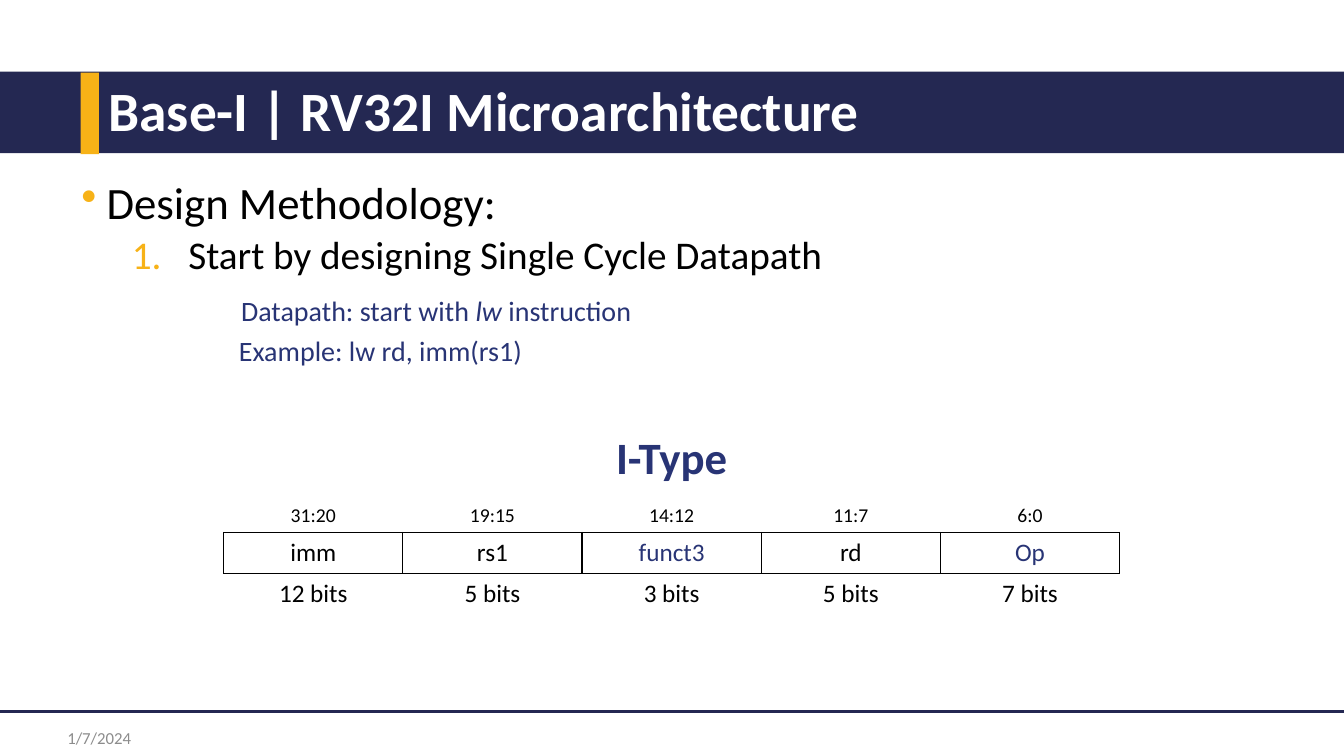
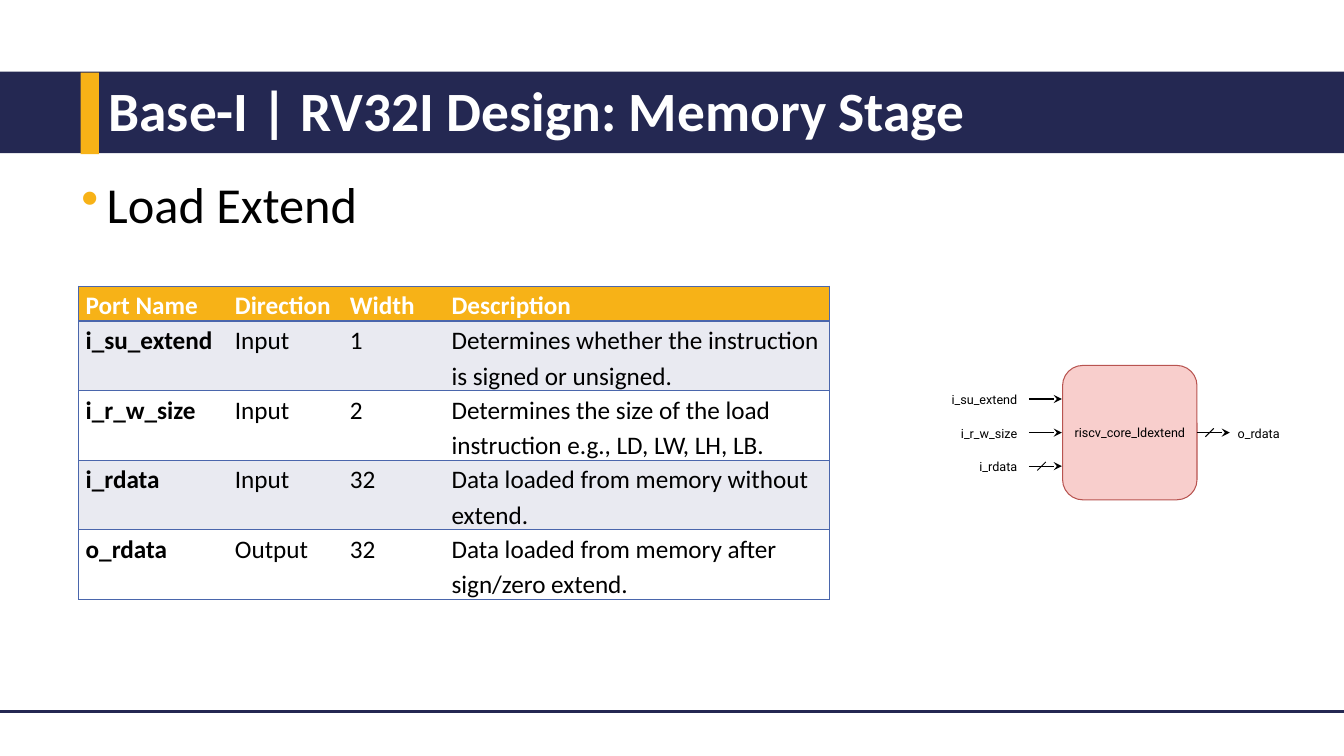
"""Build two slides on RV32I design: the load format and the load extend block."""
from dataclasses import dataclass

from lxml.etree import SubElement
from pptx import Presentation
from pptx.dml.color import RGBColor as Color
from pptx.enum.shapes import MSO_CONNECTOR as Link, MSO_SHAPE as Form
from pptx.enum.text import MSO_ANCHOR as Anchor, PP_ALIGN as Align
from pptx.oxml.ns import qn
from pptx.util import Pt


@dataclass(frozen=True)
class Theme:
    navy: str = "242852"
    gold: str = "F7B217"
    blue: str = "283475"
    edge: str = "4A66AC"
    tint: str = "E9EAF1"
    pink: str = "F8CECC"
    red: str = "B85450"
    gray: str = "8C8C8C"
    black: str = "000000"
    white: str = "FFFFFF"
    font: str = "Calibri"
    code: str = "Roboto"
    title: float = 39.6
    head: float = 36
    lead: float = 32
    step: float = 28
    note: float = 20
    cell: float = 18
    bits: float = 14
    date: float = 12
    port: float = 9


class Deck:
    def __init__(self, theme):
        self.theme = theme
        self.show = Presentation()
        self.show.slide_width, self.show.slide_height = Pt(960), Pt(540)
        self.slide = None

    def page(self, title):
        t = self.theme
        self.slide = self.show.slides.add_slide(self.show.slide_layouts[6])
        self.block(0, 51.1, 960, 58.3, t.navy)
        self.label(title, 70.5, 57.6, 756, 46.8, t.title, t.white, bold=True)
        self.block(57.6, 51.8, 13, 58.3, t.gold)
        self.line(0, 508.3, 960, 508.3, t.navy, 2.25)

    def block(self, x, y, wide, high, fill, edge=None, form=Form.RECTANGLE):
        shape = self.slide.shapes.add_shape(form, Pt(x), Pt(y), Pt(wide), Pt(high))
        shape.shadow.inherit = False
        shape.fill.solid()
        shape.fill.fore_color.rgb = Color.from_string(fill)
        if edge:
            shape.line.color.rgb = Color.from_string(edge)
            shape.line.width = Pt(0.75)
        else:
            shape.line.fill.background()
        return shape

    def line(self, x1, y1, x2, y2, color, width=0.75, arrow=False):
        link = self.slide.shapes.add_connector(
            Link.STRAIGHT, Pt(x1), Pt(y1), Pt(x2), Pt(y2))
        link.line.color.rgb = Color.from_string(color)
        link.line.width = Pt(width)
        props = link.line.fill and link._element.spPr
        if arrow:
            SubElement(props.find(qn("a:ln")), qn("a:tailEnd"), type="stealth")
        SubElement(props, qn("a:effectLst"))

    def style(self, para, size, color, font=None, bold=False):
        for run in para.runs:
            run.font.name = font or self.theme.font
            run.font.size = Pt(size)
            run.font.bold = bold
            run.font.color.rgb = Color.from_string(color)

    def frame(self, x, y, wide, high, anchor=Anchor.MIDDLE):
        box = self.slide.shapes.add_textbox(Pt(x), Pt(y), Pt(wide), Pt(high))
        box.text_frame.word_wrap = True
        box.text_frame.vertical_anchor = anchor
        return box.text_frame

    def label(self, text, x, y, wide, high, size, color, font=None,
              bold=False, align=Align.LEFT):
        frame = self.frame(x, y, wide, high)
        frame.text = text
        para = frame.paragraphs[0]
        para.alignment = align
        para.line_spacing = 0.9 if bold else 1.0
        self.style(para, size, color, font, bold)

    def body(self, *points):
        frame = self.frame(51.1, 125.3, 822, 351, Anchor.TOP)
        for i, point in enumerate(points):
            para = frame.add_paragraph() if i else frame.paragraphs[0]
            self.point(para, *point)

    def point(self, para, text, size, color, left, hang=0, before=0, mark=None):
        props = para._p.get_or_add_pPr()
        props.set("marL", str(Pt(left)))
        props.set("indent", str(-Pt(hang)))
        if mark:
            tint = SubElement(props, qn("a:buClr"))
            SubElement(tint, qn("a:srgbClr"), val=self.theme.gold)
            kind, key, value = mark
            SubElement(props, qn(kind)).set(key, value)
        para.line_spacing = 0.9
        if before:
            para.space_before = Pt(before)
        for i, part in enumerate(text.split("*")):
            run = para.add_run()
            run.text = part
            run.font.italic = i % 2 == 1
        self.style(para, size, color)

    def table(self, x, y, cols, rows):
        grid = self.slide.shapes.add_table(
            len(rows), len(cols), Pt(x), Pt(y), Pt(sum(cols)), Pt(sum(rows))).table
        grid.first_row = grid.horz_banding = False
        for col, wide in zip(grid.columns, cols):
            col.width = Pt(wide)
        for row, high in zip(grid.rows, rows):
            row.height = Pt(high)
        return grid

    def cell(self, cell, text, size, color, bold=False, align=Align.LEFT,
             space=1.0, sides="", edge=None, fill=None):
        cell.text = text
        para = cell.text_frame.paragraphs[0]
        para.alignment = align
        para.line_spacing = space
        self.style(para, size, color, bold=bold)
        props = cell._tc.get_or_add_tcPr()
        for side in "LRTB":
            rule = SubElement(props, qn("a:ln" + side), w=str(Pt(1)))
            if side in sides:
                ink = SubElement(rule, qn("a:solidFill"))
                SubElement(ink, qn("a:srgbClr"), val=edge)
            else:
                SubElement(rule, qn("a:noFill"))
        if fill:
            cell.fill.solid()
            cell.fill.fore_color.rgb = Color.from_string(fill)
        else:
            cell.fill.background()

    def fields(self, name, items):
        t = self.theme
        grid = self.table(159.8, 304.6, [128] * len(items), [46.3] + [29.5] * 3)
        grid.cell(0, 0).merge(grid.cell(0, len(items) - 1))
        self.cell(grid.cell(0, 0), name, t.lead, t.blue, True, Align.CENTER)
        looks = ((t.bits, "B"), (t.cell, "LRTB"), (t.cell, "T"))
        for c, item in enumerate(items):
            for r, (text, (size, sides)) in enumerate(zip(item, looks), 1):
                color = t.blue if text in ("funct3", "Op") else t.black
                self.cell(grid.cell(r, c), text, size, color,
                          align=Align.CENTER, sides=sides, edge=t.black)
            grid.cell(1, c).vertical_anchor = Anchor.BOTTOM

    def ports(self, rows):
        t = self.theme
        cols = [106.6, 82.1, 72.7, 275]
        grid = self.table(56.2, 204.5, cols, [24.6] + [49.4] * (len(rows) - 1))
        last = len(cols) - 1
        for r, row in enumerate(rows):
            fill = t.gold if r == 0 else t.tint if r % 2 else t.white
            for c, text in enumerate(row):
                cell = grid.cell(r, c)
                cell.margin_left = cell.margin_right = Pt(5)
                cell.margin_top = cell.margin_bottom = 0
                sides = "TB" + ("L" if c == 0 else "R" if c == last else "")
                self.cell(cell, text, t.cell, t.black if r else t.white,
                          r == 0 or c == 0, space=1.15, sides=sides,
                          edge=t.edge, fill=fill)

    def wire(self, x, y, bus):
        black = self.theme.black
        self.line(x, y, x + 23.5, y, black, arrow=True)
        if bus:
            self.line(x + 6, y + 3, x + 12, y - 3, black)

    def core(self, name, inputs, output):
        t = self.theme
        left, mid, side, gap = 759, 309, 96, 24
        box = self.block(left, mid - side / 2, side, side, t.pink, t.red,
                         Form.ROUNDED_RECTANGLE)
        box.adjustments[0] = 0.15
        frame = box.text_frame
        frame.text = name
        frame.word_wrap = False
        frame.margin_left = frame.margin_right = 0
        frame.vertical_anchor = Anchor.MIDDLE
        frame.paragraphs[0].alignment = Align.CENTER
        self.style(frame.paragraphs[0], t.port, t.black, t.code)
        for i, (port, bus) in enumerate(inputs):
            y = mid + gap * (i - 1)
            self.wire(left - 24, y, bus)
            self.label(port, 660, y - 13, 73.7, 27, t.port, t.black, t.code,
                       align=Align.RIGHT)
        self.wire(left + side, mid, True)
        self.label(output, 877, mid - 13, 60, 27, t.port, t.black, t.code)


def main():
    t = Theme()
    deck = Deck(t)
    dot = ("a:buChar", "char", "•")
    count = ("a:buAutoNum", "type", "arabicPeriod")

    deck.page("Base-I | RV32I Microarchitecture")
    deck.label("1/7/2024", 41, 514.8, 203.8, 23.8, t.date, t.gray)
    deck.body(
        ("Design Methodology:", t.lead, t.black, 18, 18, 0, dot),
        ("Start by designing Single Cycle Datapath", t.step, t.black,
         76.3, 40.3, 5, count),
        ("Datapath: start with *lw* instruction", t.note, t.blue, 114, 0, 13.5),
        ("Example: lw rd, imm(rs1)", t.note, t.blue, 112.5, 0, 7))
    deck.fields("I-Type", [
        ("31:20", "imm", "12 bits"),
        ("19:15", "rs1", "5 bits"),
        ("14:12", "funct3", "3 bits"),
        ("11:7", "rd", "5 bits"),
        ("6:0", "Op", "7 bits")])

    deck.page("Base-I | RV32I Design: Memory Stage")
    deck.body(("Load Extend", t.head, t.black, 18, 18, 0, dot))
    deck.core("riscv_core_ldextend",
              [("i_su_extend", False), ("i_r_w_size", False), ("i_rdata", True)],
              "o_rdata")
    deck.ports([
        ("Port Name", "Direction", "Width", "Description"),
        ("i_su_extend", "Input", "1",
         "Determines whether the instruction is signed or unsigned."),
        ("i_r_w_size", "Input", "2",
         "Determines the size of the load instruction e.g., LD, LW, LH, LB."),
        ("i_rdata", "Input", "32", "Data loaded from memory without extend."),
        ("o_rdata", "Output", "32",
         "Data loaded from memory after sign/zero extend.")])

    deck.show.save("out.pptx")


if __name__ == "__main__":
    main()
